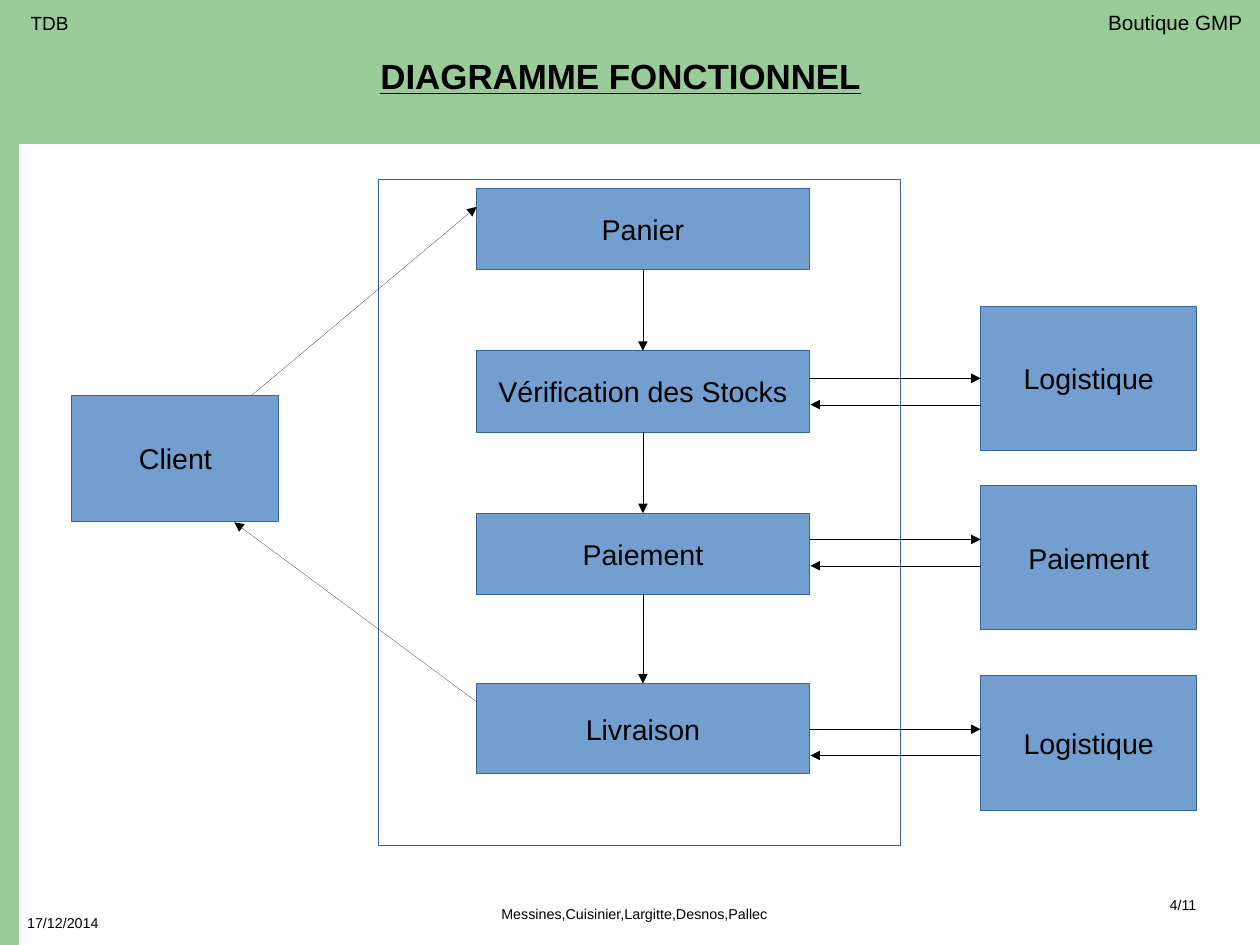
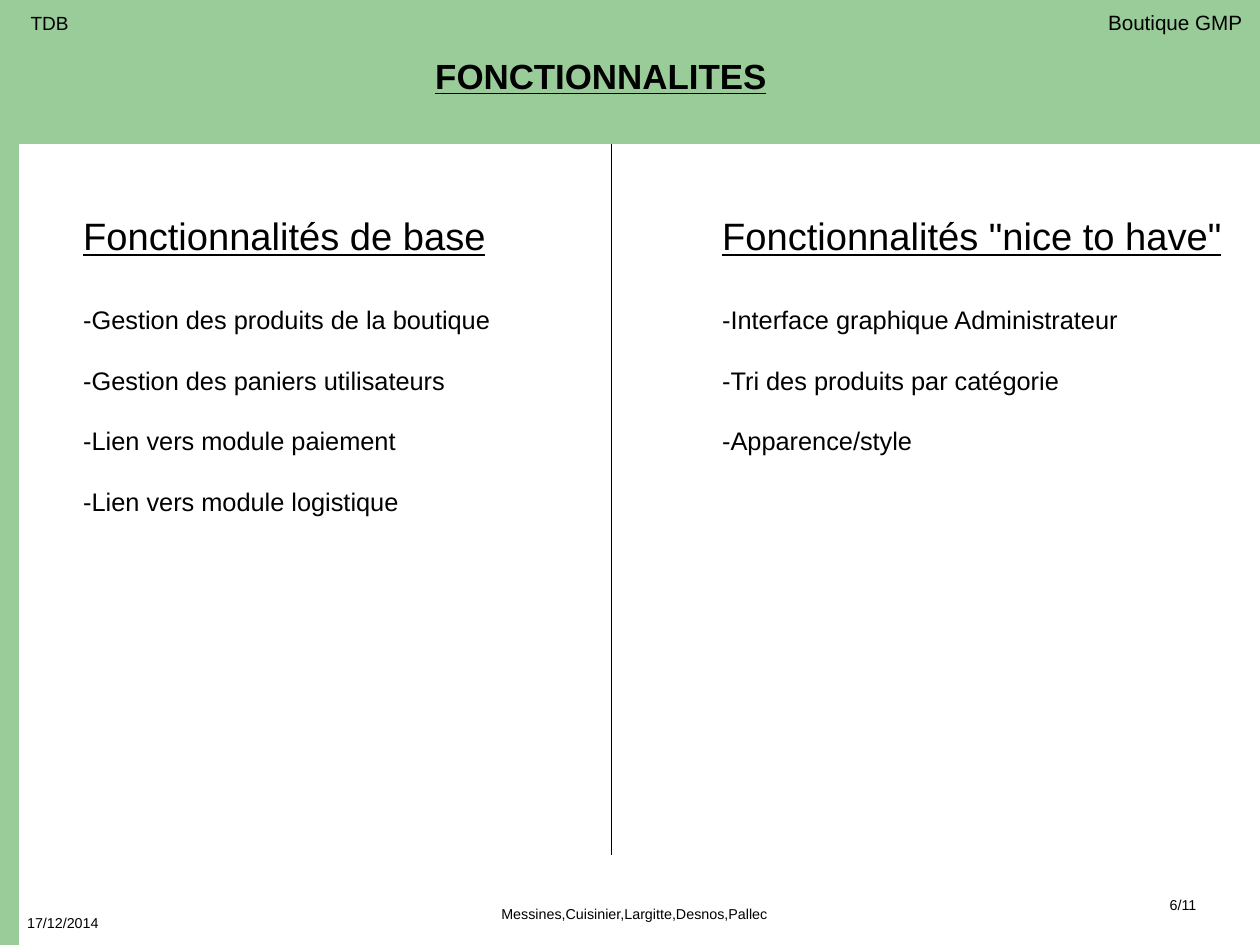
"""Build two slides on an online shop: its functional diagram and its features."""
from lxml import etree
from pptx import Presentation
from pptx.dml.color import RGBColor
from pptx.enum.shapes import MSO_CONNECTOR, MSO_SHAPE
from pptx.enum.text import MSO_ANCHOR, PP_ALIGN
from pptx.oxml.ns import qn
from pptx.util import Inches, Pt

RECT = MSO_SHAPE.RECTANGLE
LINE = MSO_CONNECTOR.STRAIGHT
TOP, MIDDLE = MSO_ANCHOR.TOP, MSO_ANCHOR.MIDDLE
LEFT, CENTER = PP_ALIGN.LEFT, PP_ALIGN.CENTER
FONT = "Arial"
BLACK, WHITE, GREEN, BLUE, EDGE = "000000", "FFFFFF", "99CC99", "729FCF", "3465A4"
WIDE, HIGH = 28 / 2.54, 21 / 2.54


def box(slide, at, text="", fill=WHITE, edge=None, size=18, bold=False,
        under=False, align=CENTER, anchor=MIDDLE, items=()):
    """Add a rectangle, or a plain text box without fill, with text and items."""
    place = [Inches(n) for n in at]
    if fill:
        shape = slide.shapes.add_shape(RECT, *place)
        shape.shadow.inherit = False
        shape.fill.solid()
        shape.fill.fore_color.rgb = RGBColor.from_string(fill)
        if edge:
            shape.line.color.rgb = RGBColor.from_string(edge)
            shape.line._get_or_add_ln().set("w", "0")
        else:
            shape.line.fill.background()
    else:
        shape = slide.shapes.add_textbox(*place)
    frame = shape.text_frame
    frame.word_wrap = not fill
    frame.vertical_anchor = anchor
    for i, words in enumerate([text, *items] if text else []):
        para = frame.add_paragraph() if i else frame.paragraphs[0]
        para.alignment = align
        if i:
            para.space_before = Pt(29 if i == 1 else 19)
        run = para.add_run()
        run.text = words
        font = run.font
        font.name = FONT
        font.size = Pt(16 if i else size)
        font.bold = bold
        font.underline = under and not i
        font.color.rgb = RGBColor.from_string(BLACK)
    return shape


def link(slide, start, end, arrow=True):
    """Add a hairline between two points, with an arrowhead at its end."""
    line = slide.shapes.add_connector(LINE, *[Inches(n) for n in (*start, *end)])
    line.line.color.rgb = RGBColor.from_string(BLACK)
    props = line._element.spPr
    edge = props.find(qn("a:ln"))
    edge.set("w", "0")
    if arrow:
        etree.SubElement(edge, qn("a:tailEnd"), type="triangle")
    etree.SubElement(props, qn("a:effectLst"))
    return line


deck = Presentation()
deck.slide_width, deck.slide_height = Inches(WIDE), Inches(HIGH)

pages = []
for page in ["4/11", "6/11"]:
    slide = deck.slides.add_slide(deck.slide_layouts[6])
    for at, text in [((0.08, 7.95, 0.94, 0.24), "17/12/2014"),
                     ((4.17, 7.8, 2.76, 0.39), "Messines,Cuisinier,Largitte,Desnos,Pallec"),
                     ((9.76, 7.72, 1.18, 0.39), page)]:
        box(slide, at, text, size=9)
    pages.append(slide)

chart, lists = pages

box(chart, (3.31, 1.57, 4.57, 5.83), edge=EDGE)
box(chart, (0.63, 3.46, 1.81, 1.1), "Client", fill=BLUE, edge=EDGE)

steps = [box(chart, (4.17, top, 2.91, high), text, fill=BLUE, edge=EDGE)
         for text, top, high in [("Panier", 1.65, 0.71),
                                 ("Vérification des Stocks", 3.07, 0.71),
                                 ("Paiement", 4.49, 0.71),
                                 ("Livraison", 5.98, 0.79)]]
for upper, lower in zip(steps, steps[1:]):
    arrow = link(chart, (0, 0), (0, 0))
    arrow.begin_connect(upper, 2)
    arrow.end_connect(lower, 0)

for text, top, high, out in [("Logistique", 2.68, 1.26, 3.31),
                             ("Paiement", 4.25, 1.26, 4.72),
                             ("Logistique", 5.91, 1.18, 6.38)]:
    box(chart, (8.58, top, 1.89, high), text, fill=BLUE, edge=EDGE)
    back = out + 0.23
    link(chart, (7.09, out), (8.58, out))
    link(chart, (8.58, back), (7.09, back))

link(chart, (2.2, 3.46), (4.17, 1.81))
link(chart, (4.17, 6.14), (2.05, 4.57))

for left, head, items in [
    (0.63, "Fonctionnalités de base",
     ["-Gestion des produits de la boutique", "-Gestion des paniers utilisateurs",
      "-Lien vers module paiement", "-Lien vers module logistique"]),
    (6.22, "Fonctionnalités \"nice to have\"",
     ["-Interface graphique Administrateur", "-Tri des produits par catégorie",
      "-Apparence/style"]),
]:
    box(lists, (left, 1.81, 4.33, 5.35), head, size=24, under=True, align=LEFT,
        anchor=TOP, items=items)
link(lists, (5.35, 1.1), (5.35, 7.48), arrow=False)

for slide, title, left in [(chart, "DIAGRAMME FONCTIONNEL", 3.23),
                           (lists, "FONCTIONNALITES", 3.71)]:
    box(slide, (0, 0, WIDE, 1.26), fill=GREEN, edge=GREEN)
    box(slide, (0, 0.31, 0.16, 7.95), fill=GREEN, edge=GREEN)
    box(slide, (0.16, 0.08, 0.55, 0.24), "TDB", fill=GREEN, size=12)
    box(slide, (9.53, 0, 1.5, 0.39), "Boutique GMP", fill=GREEN, size=13)
    box(slide, (left, 0.43, 4.8, 0.44), title, fill=None, size=22, bold=True,
        under=True, align=LEFT, anchor=TOP)

deck.save("out.pptx")
